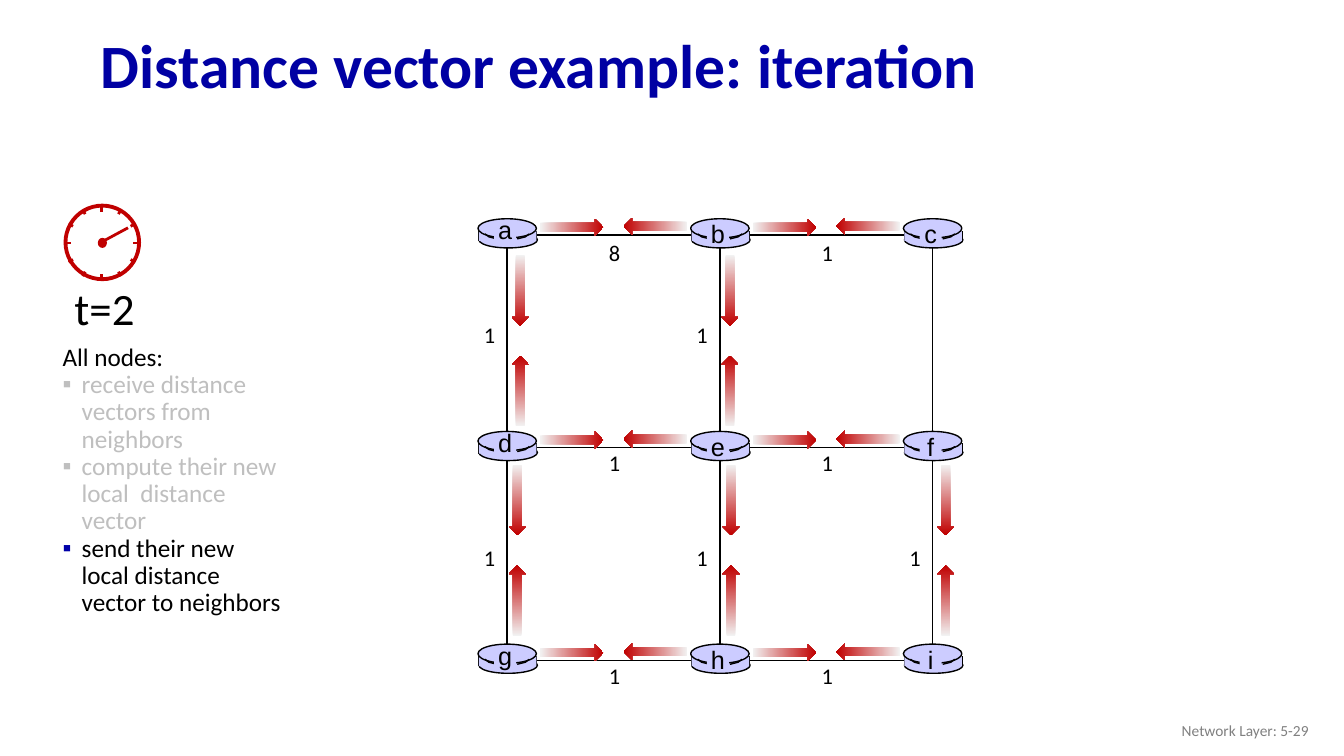
from math import cos, pi, sin

from lxml import etree
from pptx import Presentation
from pptx.dml.color import RGBColor
from pptx.enum.shapes import MSO_CONNECTOR, MSO_SHAPE
from pptx.enum.text import MSO_ANCHOR, MSO_AUTO_SIZE, PP_ALIGN
from pptx.oxml.ns import qn
from pptx.util import Inches, Pt

STRAIGHT = MSO_CONNECTOR.STRAIGHT
RECT, OVAL, ARROW = MSO_SHAPE.RECTANGLE, MSO_SHAPE.OVAL, MSO_SHAPE.RIGHT_ARROW
LEFT, CENTER, RIGHT = PP_ALIGN.LEFT, PP_ALIGN.CENTER, PP_ALIGN.RIGHT
TOP, MIDDLE = MSO_ANCHOR.TOP, MSO_ANCHOR.MIDDLE

COLORS = {"title": "0000A3", "accent": "0000A8", "text": "000000", "dim": "BFBFBF",
          "footer": "808080", "router": "CCCCFF", "red": "C00000", "fade": "F2F2F2"}

# Network grid
GRID_LEFT, GRID_TOP, STEP = 5.03, 2.33, 2.11
ROUTERS = ["abc", "def", "ghi"]
ROW_COSTS = ["81", "11", "11"]
COLUMN_COSTS = ["11 ", "111"]  # a blank marks an edge without cost and arrows
ARROW_SHIFTS = [[0.13, 0.10, 0], [0.10, 0.11, 0.13]]

STEPS = [("receive distance vectors from neighbors", "dim", "dim"),
         ("compute their new local  distance vector", "dim", "dim"),
         ("send their new local distance vector to neighbors", "text", "accent")]


def rgb(name):
    return RGBColor.from_string(COLORS[name])


def add_span(para, text, size, color, font="Calibri", bold=False):
    span = para.add_run()
    span.text = text
    values = {"name": font, "size": Pt(size), "bold": bold}
    for attribute, value in values.items():
        setattr(span.font, attribute, value)
    span.font.color.rgb = rgb(color)


def add_label(shapes, text, left, top, width, height, size, color="text",
              align=LEFT, anchor=TOP, font="Calibri"):
    box = shapes.add_textbox(Inches(left), Inches(top), Inches(width), Inches(height))
    box.text_frame.word_wrap = False
    box.text_frame.vertical_anchor = anchor
    para = box.text_frame.paragraphs[0]
    para.alignment = align
    add_span(para, text, size, color, font)


def add_figure(shapes, kind, left, top, width, height, fill=None, line=None, weight=1):
    figure = shapes.add_shape(kind, Inches(left), Inches(top), Inches(width), Inches(height))
    figure.shadow.inherit = False
    if fill:
        figure.fill.solid()
        figure.fill.fore_color.rgb = rgb(fill)
    else:
        figure.fill.background()
    if line:
        figure.line.color.rgb = rgb(line)
        figure.line.width = Pt(weight)
    else:
        figure.line.fill.background()
    return figure


def add_line(shapes, start, end, color="text", weight=1):
    line = shapes.add_connector(STRAIGHT, *(Inches(value) for value in (*start, *end)))
    line.line.color.rgb = rgb(color)
    line.line.width = Pt(weight)
    etree.SubElement(line._element.spPr, qn("a:effectLst"))
    return line


def add_arrow(page, center_x, center_y, length, rotation):
    arrow = add_figure(page.shapes, ARROW, center_x - length / 2, center_y - 0.085, length, 0.17)
    arrow.rotation = rotation
    arrow.fill.gradient()
    arrow.fill.gradient_angle = 0
    for stop, color, position in zip(arrow.fill.gradient_stops, ("fade", "red"), (0, 1)):
        stop.color.rgb = rgb(color)
        stop.position = position


def add_router(page, letter, x, y, label_top):
    parts = page.shapes.add_group_shape().shapes
    add_figure(parts, OVAL, x - 0.28, y - 0.03, 0.58, 0.16, "router", "text")
    for side in (x - 0.28, x + 0.29):
        add_line(parts, (side, y - 0.04), (side, y + 0.06))
    add_figure(parts, RECT, x - 0.28, y - 0.04, 0.57, 0.1, "router")
    add_figure(parts, OVAL, x - 0.29, y - 0.16, 0.58, 0.19, "router", "text")
    # Curved rim marks on both sides of the letter
    for direction in (-1, 1):
        points = [(Inches(x + direction * dx), Inches(y + dy))
                  for dx, dy in ((0.22, -0.01), (0.18, 0.02), (0.1, 0.04))]
        builder = parts.build_freeform(*points[0])
        builder.add_line_segments(points[1:], close=False)
        mark = builder.convert_to_shape()
        mark.shadow.inherit = False
        mark.fill.background()
        mark.line.color.rgb = rgb("text")
        mark.line.width = Pt(1)
    add_figure(parts, RECT, x - 0.13, y - 0.11, 0.22, 0.2, "router")
    add_label(parts, letter, x - 0.19, label_top, 0.34, 0.4, 18, align=CENTER, font="Arial")


def add_links(page):
    frame = add_figure(page.shapes, RECT, GRID_LEFT, GRID_TOP, 2 * STEP, 2 * STEP, line="text")
    middle_x, middle_y = GRID_LEFT + STEP, GRID_TOP + STEP
    right, bottom = GRID_LEFT + 2 * STEP, GRID_TOP + 2 * STEP
    for start, end, sites in (((middle_x, bottom), (middle_x, GRID_TOP), (2, 0)),
                              ((GRID_LEFT, middle_y), (right, middle_y), (1, 3))):
        line = add_line(page.shapes, start, end)
        line.begin_connect(frame, sites[0])
        line.end_connect(frame, sites[1])


def add_network(page):
    add_links(page)
    for row, letters in enumerate(ROUTERS):
        y = GRID_TOP + row * STEP
        for column, letter in enumerate(letters):
            x = GRID_LEFT + column * STEP
            add_router(page, letter, x, y, y - (0.21 if column else 0.25))
    # Costs and arrows along the rows
    for row, costs in enumerate(ROW_COSTS):
        y = GRID_TOP + row * STEP
        for column, cost in enumerate(costs):
            x = GRID_LEFT + column * STEP
            add_label(page.shapes, cost, x + 0.91, y - (0.03 if row else 0.01), 0.33, 0.37, 16)
            add_arrow(page, x + 0.64, y - 0.075, 0.63, 0)
            add_arrow(page, x + 1.47, y - 0.085, 0.63, 180)
    # Costs and arrows along the columns
    for row, costs in enumerate(COLUMN_COSTS):
        y = GRID_TOP + row * STEP
        for column, cost in enumerate(costs):
            if cost == " ":
                continue
            x = GRID_LEFT + column * STEP
            add_label(page.shapes, cost, x - 0.33, y + (0.91 if row else 0.81), 0.33, 0.37, 16)
            arrow_x = x + ARROW_SHIFTS[row][column]
            arrow_y = y + (0.52 if row else 0.55)
            add_arrow(page, arrow_x, arrow_y, 0.7, 90)
            add_arrow(page, arrow_x, arrow_y + 1, 0.7, 270)


def add_clock(page):
    parts = page.shapes.add_group_shape().shapes
    x, y = 1.01, 2.41
    add_label(parts, "t=2", 0.64, 2.74, 0.81, 0.64, 32)
    add_figure(parts, OVAL, x - 0.36, y - 0.37, 0.73, 0.73, line="red", weight=2.75)
    for hour in range(12):
        angle = hour * pi / 6
        ends = [(x + radius * cos(angle), y + radius * sin(angle))
                for radius in (0.33 if hour % 3 else 0.31, 0.38)]
        add_line(parts, *ends, color="red", weight=2)
    add_figure(parts, OVAL, 0.97, 2.36, 0.09, 0.1, "red")
    add_line(parts, (1.27, 2.26), (x, 2.4), "red", 2)


def place(holder, left, top, width, height, anchor):
    values = {"left": left, "top": top, "width": width, "height": height}
    for attribute, value in values.items():
        setattr(holder, attribute, Inches(value))
    holder.text_frame.word_wrap = True
    holder.text_frame.auto_size = MSO_AUTO_SIZE.NONE
    holder.text_frame.vertical_anchor = anchor


def set_bullet(para, color=None):
    properties = para._p.get_or_add_pPr()
    indent = Inches(0.19) if color else 0
    properties.set("marL", str(indent))
    properties.set("indent", str(-indent))
    if not color:
        etree.SubElement(properties, qn("a:buNone"))
        return
    tint = etree.SubElement(properties, qn("a:buClr"))
    etree.SubElement(tint, qn("a:srgbClr"), val=COLORS[color])
    etree.SubElement(properties, qn("a:buFont"), typeface="Arial")
    etree.SubElement(properties, qn("a:buChar"), char="▪")


def fill_title(title):
    place(title, 0.9, 0.19, 11.5, 0.98, MIDDLE)
    para = title.text_frame.paragraphs[0]
    para.alignment, para.line_spacing = LEFT, 0.9
    add_span(para, "Distance vector example: ", 44, "title", bold=True)
    add_span(para, "iteration", 44, "accent", bold=True)


def fill_steps(body):
    place(body, 0.52, 3.37, 2.4, 2.83, TOP)
    frame = body.text_frame
    for number, (text, color, bullet) in enumerate([("All nodes:", "text", None), *STEPS]):
        para = frame.add_paragraph() if number else frame.paragraphs[0]
        para.line_spacing, para.space_before = 0.9, Pt(0)
        set_bullet(para, bullet)
        add_span(para, text, 18, color)


def main():
    deck = Presentation()
    deck.slide_width, deck.slide_height = Inches(13.33), Inches(7.5)
    page = deck.slides.add_slide(deck.slide_layouts[1])
    fill_title(page.shapes.title)
    fill_steps(page.placeholders[1])
    add_label(page.shapes, "Network Layer: 5-29", 10.08, 7.05, 3, 0.4, 11, "footer", RIGHT, MIDDLE)
    add_network(page)
    add_clock(page)
    deck.save("out.pptx")


if __name__ == "__main__":
    main()
